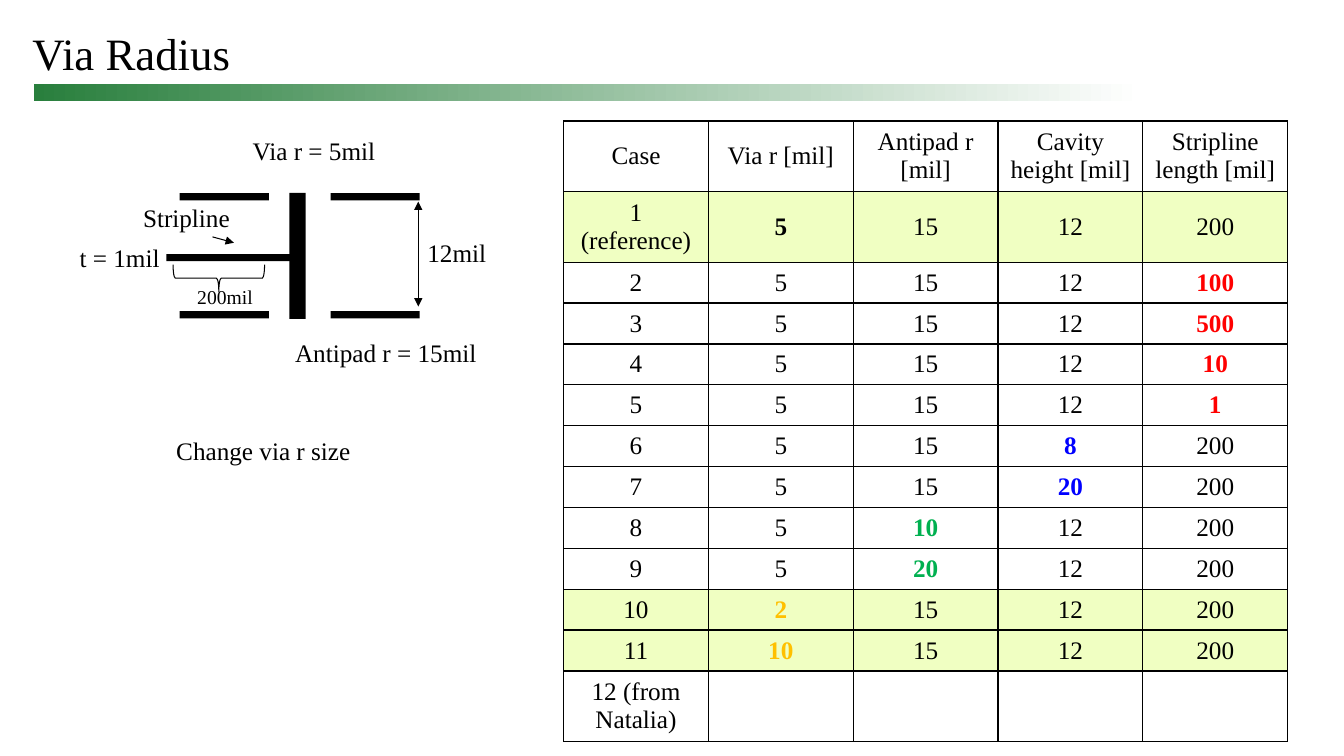
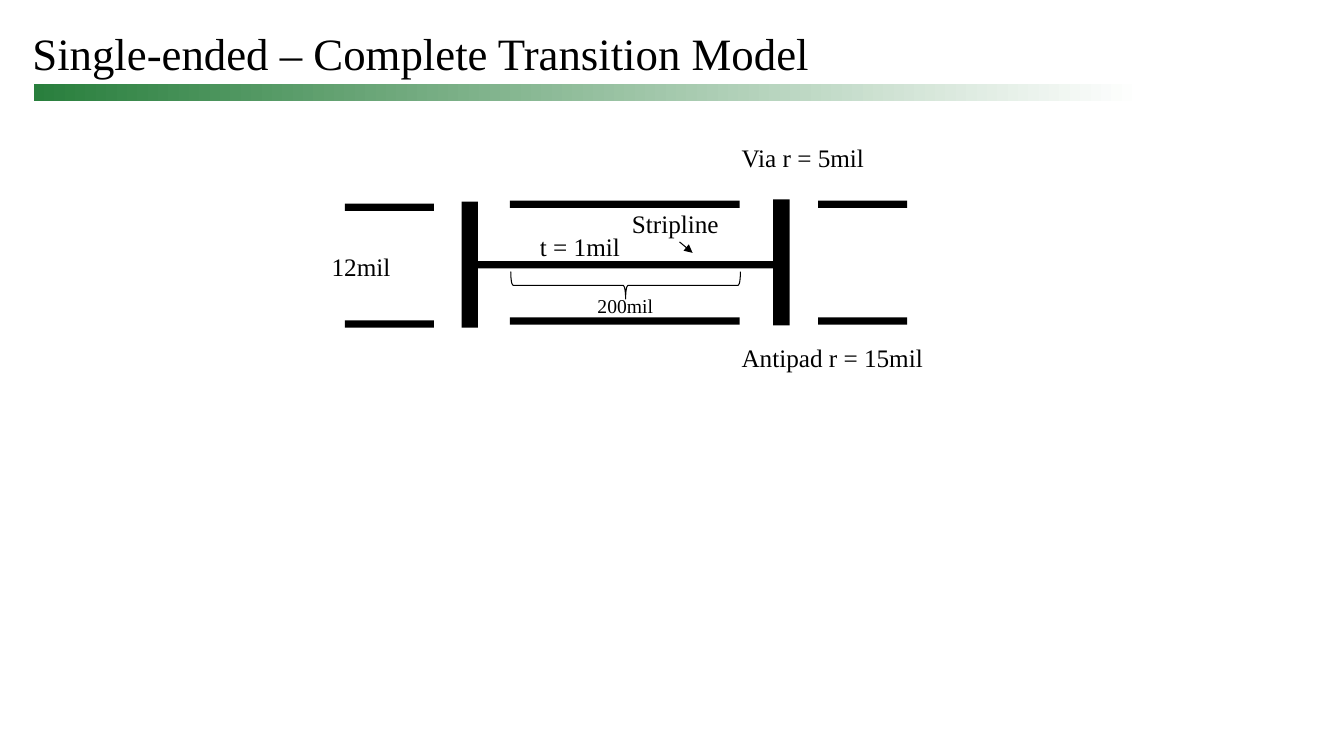
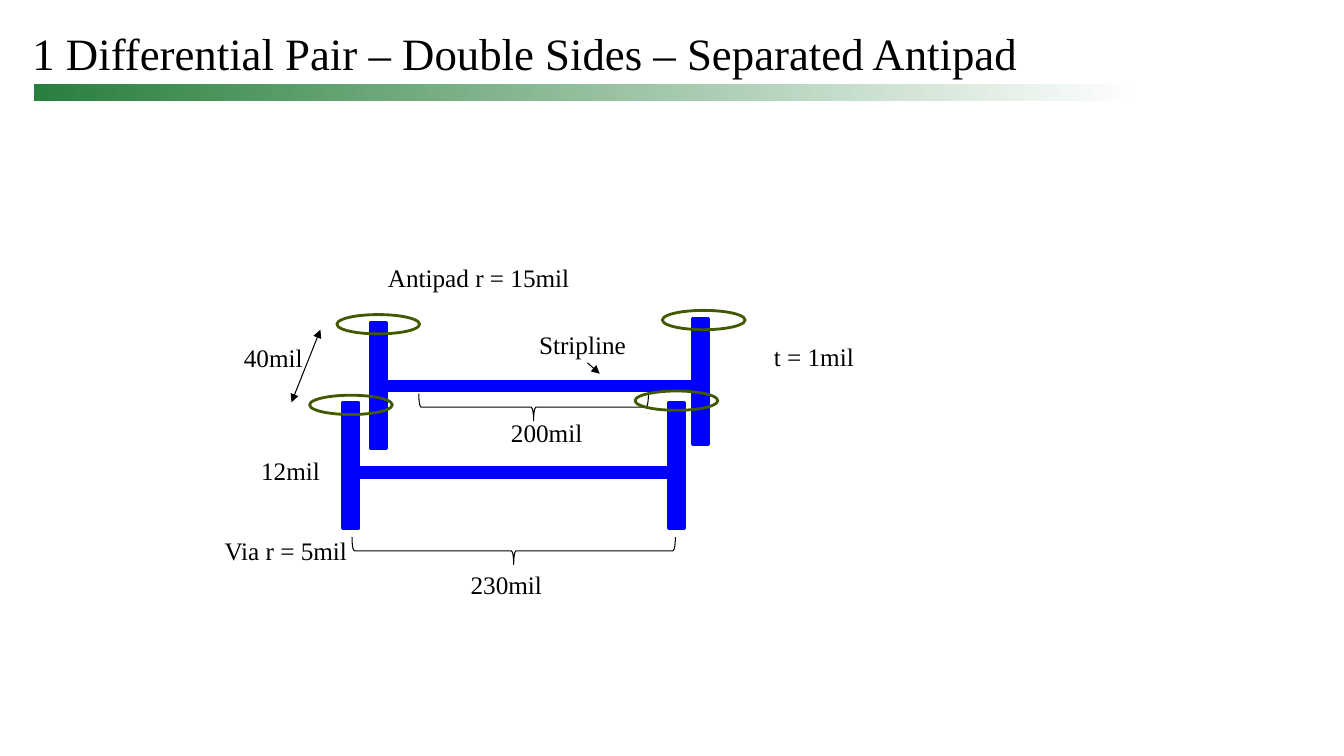
from dataclasses import dataclass
from itertools import product

from lxml.etree import SubElement
from pptx import Presentation
from pptx.dml.color import RGBColor
from pptx.enum.shapes import MSO_CONNECTOR, MSO_SHAPE
from pptx.enum.text import MSO_ANCHOR, MSO_AUTO_SIZE, PP_ALIGN
from pptx.oxml.ns import qn
from pptx.util import Inches, Pt


@dataclass(frozen=True)
class Theme:
    font: str = "Times New Roman"
    title_size: int = 32
    body_size: int = 18
    small_size: int = 14
    hairline: float = 0.75
    outline: float = 2
    border: float = 1
    black: str = "000000"
    white: str = "FFFFFF"
    band: str = "297F3D"
    pair: str = "0000FF"
    antipad: str = "435900"
    highlight: str = "F0FFC2"
    changes: tuple = (None, "FFC000", "00B050", "0000FF", "FF0000")


COLS, ROWS = 160, 90
LABEL_W = {
    "Stripline": 12.9,
    "Via r = 5mil": 17.2,
    "Antipad r = 15mil": 24.2,
    "t = 1mil": 12,
    "12mil": 9.5,
    "40mil": 9.5,
    "200mil": 11,
    "230mil": 11,
    "Change via r size": 23.4,
}
PLATE_W, PLATE_H = 10.6, 0.85
VIA_W, VIA_H = 1.95, 15
BRACE_H = 3.25
CENTRE_PLATE_W = 27.35
TRACE_W, TRACE_H = 38.5, 1.1
RING_W, RING_H = 9.85, 2.3

CASES = [
    ["Case", "Via r [mil]", "Antipad r [mil]", "Cavity height [mil]", "Stripline length [mil]"],
    ["1 (reference)", "5", "15", "12", "200"],
    ["2", "5", "15", "12", "100"],
    ["3", "5", "15", "12", "500"],
    ["4", "5", "15", "12", "10"],
    ["5", "5", "15", "12", "1"],
    ["6", "5", "15", "8", "200"],
    ["7", "5", "15", "20", "200"],
    ["8", "5", "10", "12", "200"],
    ["9", "5", "20", "12", "200"],
    ["10", "2", "15", "12", "200"],
    ["11", "10", "15", "12", "200"],
    ["12 (from Natalia)", "", "", "", ""],
]


class Deck:
    def __init__(self, theme):
        self.theme = theme
        self.prs = Presentation()
        self.prs.slide_width, self.prs.slide_height = Inches(13.333), Inches(7.5)
        self.s = None

    def x(self, cols):
        return round(self.prs.slide_width * cols / COLS)

    def y(self, rows):
        return round(self.prs.slide_height * rows / ROWS)

    def box(self, x, y, w, h):
        return self.x(x), self.y(y), self.x(w), self.y(h)

    def style(self, p, size, color=None, bold=False):
        for r in p.runs:
            r.font.name = self.theme.font
            r.font.size = Pt(size)
            r.font.bold = bold
            r.font.color.rgb = RGBColor.from_string(color or self.theme.black)

    def slide(self, title):
        self.s = self.prs.slides.add_slide(self.prs.slide_layouts[6])
        band = self.shape(MSO_SHAPE.RECTANGLE, 4, 10, 132, 2)
        band.fill.gradient()
        band.fill.gradient_angle = 0
        for stop, color in zip(band.fill.gradient_stops, (self.theme.band, self.theme.white)):
            stop.color.rgb = RGBColor.from_string(color)
        for stop, position in zip(band.fill.gradient_stops, (0, 1)):
            stop.position = position
        tf = self.text(title, 2.67, 0, 144, 10, self.theme.title_size)
        tf.word_wrap = True
        tf.vertical_anchor = MSO_ANCHOR.BOTTOM

    def text(self, text, x, y, w, h, size):
        tf = self.s.shapes.add_textbox(*self.box(x, y, w, h)).text_frame
        tf.text = text
        self.style(tf.paragraphs[0], size)
        return tf

    def label(self, text, x, y, small=False):
        w, h, size = LABEL_W[text], 4.8, self.theme.body_size
        if small:
            w, h, size = 9.1, 4.05, self.theme.small_size
        tf = self.text(text, x, y, w, h, size)
        tf.word_wrap = False
        tf.auto_size = MSO_AUTO_SIZE.SHAPE_TO_FIT_TEXT

    def shape(self, kind, x, y, w, h, fill=None, line=None, width=None):
        sp = self.s.shapes.add_shape(kind, *self.box(x, y, w, h))
        sp.shadow.inherit = False
        if fill:
            sp.fill.solid()
            sp.fill.fore_color.rgb = RGBColor.from_string(fill)
        else:
            sp.fill.background()
        if line:
            sp.line.color.rgb = RGBColor.from_string(line)
            sp.line.width = Pt(width)
        else:
            sp.line.fill.background()
        return sp

    def bar(self, x, y, w, h):
        self.shape(MSO_SHAPE.RECTANGLE, x, y, w, h, self.theme.black)

    def plates(self, xs, ys, w=PLATE_W):
        for x, y in product(xs, ys):
            self.bar(x, y, w, PLATE_H)

    def pair_bar(self, x, y, w, h):
        color = self.theme.pair
        self.shape(MSO_SHAPE.RECTANGLE, x, y, w, h, color, color, self.theme.outline)

    def ring(self, x, y):
        self.shape(MSO_SHAPE.OVAL, x, y, RING_W, RING_H, None, self.theme.antipad, self.theme.outline)

    def brace(self, x, y, w):
        left, top = x + (w - BRACE_H) / 2, y + (BRACE_H - w) / 2
        sp = self.shape(MSO_SHAPE.RIGHT_BRACE, left, top, BRACE_H, w,
                        None, self.theme.black, self.theme.hairline)
        sp.rotation = 90

    def arrow(self, x1, y1, x2, y2, both=False):
        cn = self.s.shapes.add_connector(
            MSO_CONNECTOR.STRAIGHT, self.x(x1), self.y(y1), self.x(x2), self.y(y2))
        cn.line.color.rgb = RGBColor.from_string(self.theme.black)
        cn.line.width = Pt(self.theme.hairline)
        ln = cn.line._get_or_add_ln()
        for end in ("a:headEnd", "a:tailEnd") if both else ("a:tailEnd",):
            SubElement(ln, qn(end), type="triangle")
        SubElement(cn._element.spPr, qn("a:effectLst"))

    def borders(self, cell):
        tcPr = cell._tc.get_or_add_tcPr()
        for side in ("a:lnL", "a:lnR", "a:lnT", "a:lnB"):
            ln = SubElement(tcPr, qn(side), w=str(Pt(self.theme.border)))
            SubElement(SubElement(ln, qn("a:solidFill")), qn("a:srgbClr"), val=self.theme.black)

    def case_table(self, cases, x, y, w, row_h):
        reference = cases[1]
        table = self.s.shapes.add_table(
            len(cases), len(reference), *self.box(x, y, w, row_h * len(cases))).table
        table.first_row = table.horz_banding = False
        for i, case in enumerate(cases):
            via_case = i > 0 and (case is reference or case[1] not in ("", reference[1]))
            for j, value in enumerate(case):
                cell = table.cell(i, j)
                self.borders(cell)
                if via_case:
                    cell.fill.solid()
                    cell.fill.fore_color.rgb = RGBColor.from_string(self.theme.highlight)
                else:
                    cell.fill.background()
                cell.vertical_anchor = MSO_ANCHOR.MIDDLE
                cell.text_frame.text = value
                p = cell.text_frame.paragraphs[0]
                p.alignment = PP_ALIGN.CENTER
                changed = i > 1 and j > 0 and value != reference[j]
                bold = changed or (case is reference and j == 1)
                self.style(p, self.theme.body_size, self.theme.changes[j] if changed else None, bold)


def via_radius(deck):
    deck.slide("Via Radius")
    deck.arrow(49.8, 24, 49.8, 36.5, both=True)
    deck.plates((21.4, 39.35), (23, 37.05))
    deck.bar(34.45, 22.95, VIA_W, VIA_H)
    deck.bar(19.8, 30.25, 14.9, PLATE_H)
    deck.arrow(25.3, 28.2, 27.85, 28.9)
    deck.brace(20.6, 31.5, 10.9)
    deck.label("200mil", 22.3, 33.35, small=True)
    for text, x, y in (
        ("Stripline", 15.85, 23.5),
        ("Via r = 5mil", 28.9, 15.5),
        ("Antipad r = 15mil", 33.95, 39.6),
        ("t = 1mil", 8.3, 28.2),
        ("12mil", 49.7, 27.7),
        ("Change via r size", 19.8, 51.25),
    ):
        deck.label(text, x, y)
    deck.case_table(CASES, 67.1, 14.4, 86.2, 4.87)


def single_ended(deck):
    deck.slide("Single-ended – Complete Transition Model")
    deck.plates((60.7,), (23.9, 37.8), CENTRE_PLATE_W)
    deck.plates((97.4,), (23.9, 37.8))
    deck.plates((41.05,), (24.25, 38.15))
    for x, y in ((92.05, 23.75), (54.95, 24)):
        deck.bar(x, y, VIA_W, VIA_H)
    deck.bar(56.9, 31.1, 35.15, PLATE_H)
    deck.arrow(80.9, 28.8, 82.45, 30.1)
    deck.brace(60.8, 32.35, CENTRE_PLATE_W)
    deck.label("200mil", 69.95, 34.45, small=True)
    for text, x, y in (
        ("Stripline", 74.05, 24.25),
        ("Via r = 5mil", 87.1, 16.3),
        ("Antipad r = 15mil", 87.1, 40.2),
        ("t = 1mil", 63.1, 26.9),
        ("12mil", 38.3, 29.3),
    ):
        deck.label(text, x, y)


def differential_pair(deck):
    deck.slide("1 Differential Pair – Double Sides – Separated Antipad")
    for x, y in ((45.25, 45.35), (41.15, 55.7)):
        deck.pair_bar(x, y, TRACE_W, TRACE_H)
    for x, y in ((40.8, 47.9), (44.05, 38.4), (79.55, 47.9), (82.45, 37.9)):
        deck.pair_bar(x, y, VIA_W, VIA_H)
    deck.brace(49.85, 46.85, CENTRE_PLATE_W)
    deck.brace(41.9, 63.95, TRACE_W)
    for x, y in ((40.1, 37.45), (36.85, 47.05), (78.85, 36.95), (75.6, 46.55)):
        deck.ring(x, y)
    deck.arrow(69.95, 43.2, 71.4, 44.5)
    deck.arrow(38.15, 39.25, 34.7, 47.9, both=True)
    for text, x, y in (
        ("Stripline", 63, 38.65),
        ("Via r = 5mil", 25.55, 63.1),
        ("Antipad r = 15mil", 45, 30.7),
        ("t = 1mil", 90.95, 40.1),
        ("12mil", 29.9, 53.65),
        ("200mil", 59.65, 49.1),
        ("40mil", 27.85, 40.2),
        ("230mil", 54.85, 67.2),
    ):
        deck.label(text, x, y)


def main():
    deck = Deck(Theme())
    for build in (via_radius, single_ended, differential_pair):
        build(deck)
    deck.prs.save("out.pptx")


if __name__ == "__main__":
    main()
